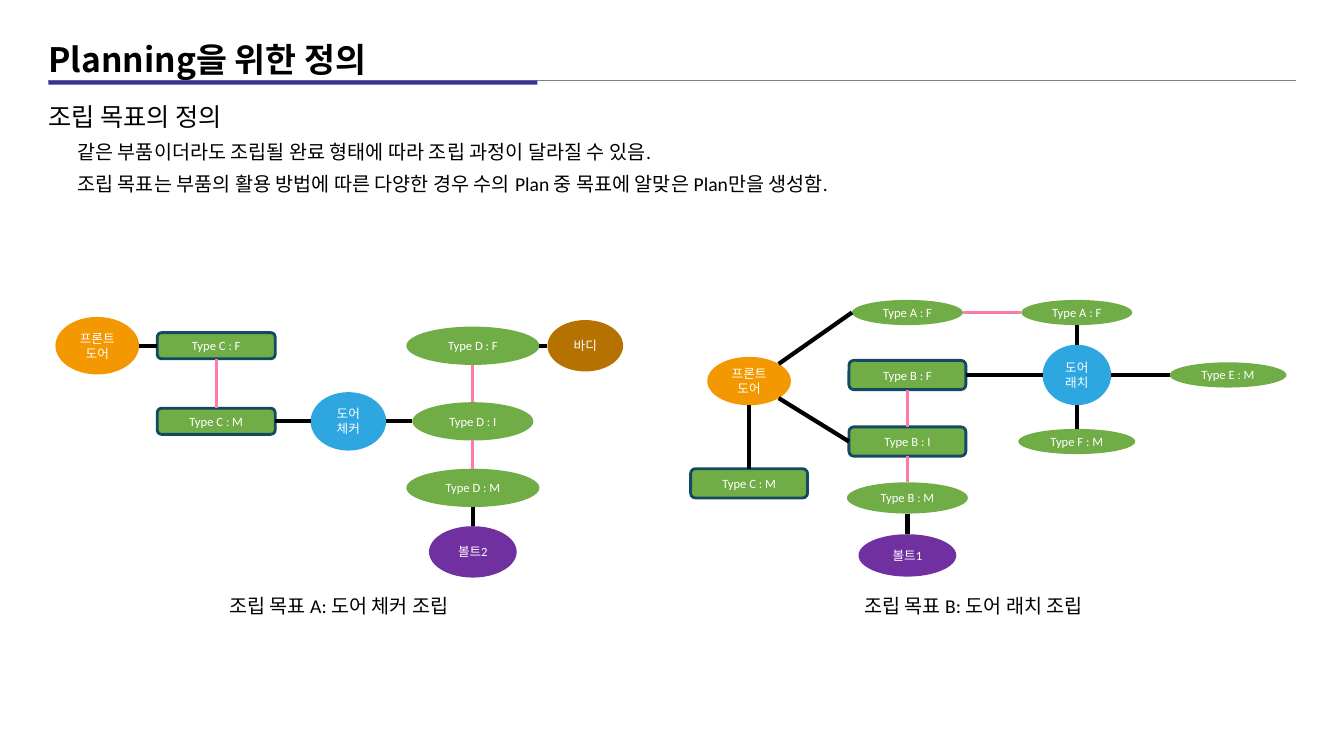
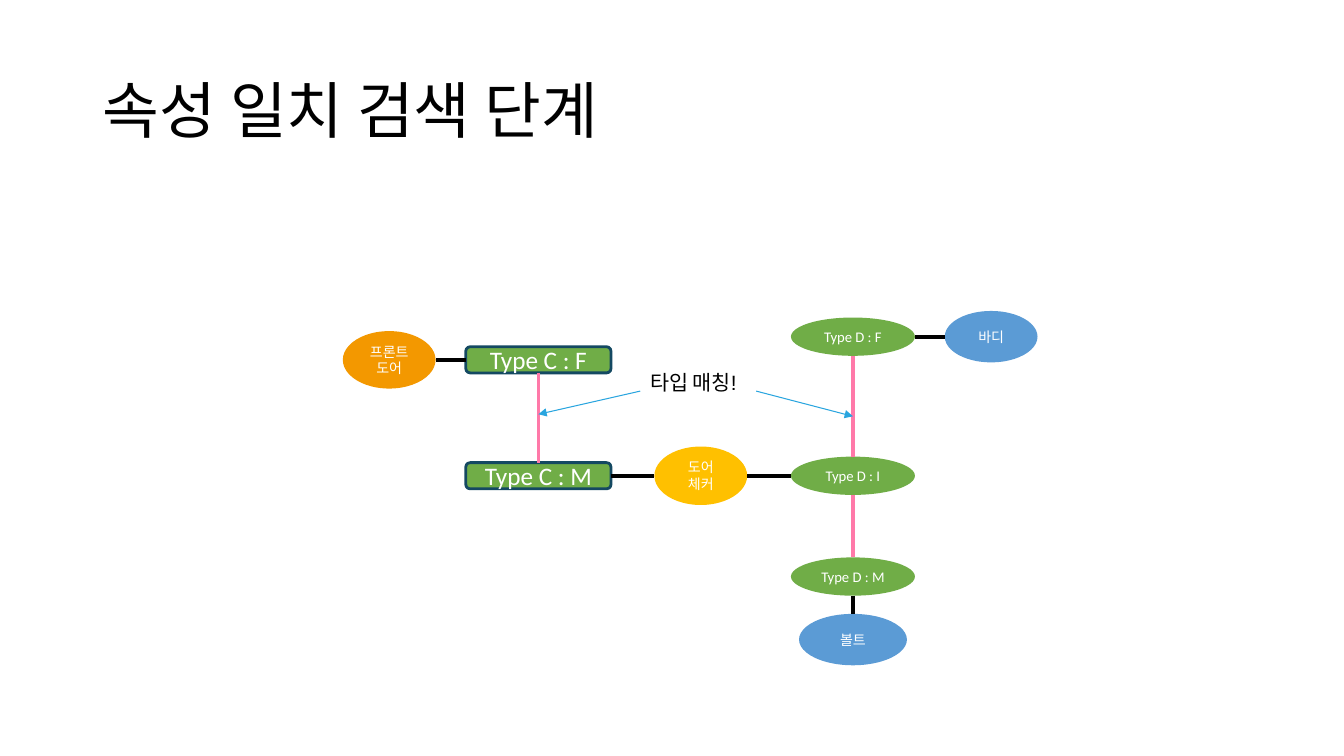
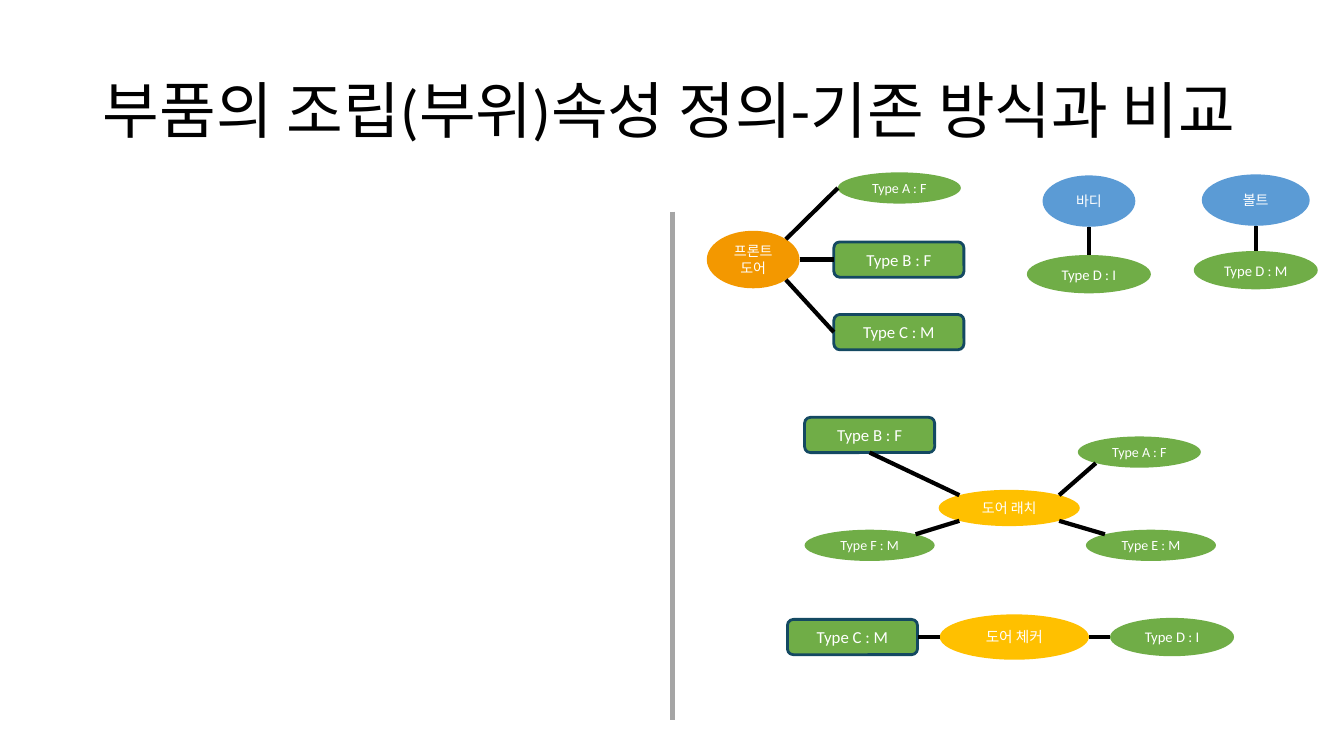
from dataclasses import dataclass
from math import sqrt

from lxml.etree import SubElement
from pptx import Presentation
from pptx.dml.color import RGBColor
from pptx.enum.shapes import MSO_CONNECTOR, MSO_SHAPE
from pptx.enum.text import MSO_ANCHOR, MSO_AUTO_SIZE, PP_ALIGN
from pptx.oxml.ns import qn
from pptx.util import Inches, Pt


@dataclass(frozen=True)
class Theme:
    black: str = "000000"
    white: str = "FFFFFF"
    grey: str = "808080"
    light_grey: str = "A5A5A5"
    navy: str = "333399"
    orange: str = "F39800"
    blue: str = "2EA7E0"
    brown: str = "B67200"
    purple: str = "7030A0"
    yellow: str = "FFC000"
    sky: str = "5B9BD5"
    green: str = "70AD47"
    outline: str = "144962"
    pink: str = "FF79A9"
    arrow: str = "29A5DF"
    font: str = "Calibri"
    heading_font: str = "Noto Sans CJK KR"
    label_font: str = "Arial"
    title: float = 44
    section: float = 24
    heading: float = 18
    body: float = 14
    label: float = 14.8
    slot_large: float = 18
    slot: float = 12
    node_large: float = 10.5
    node: float = 10
    node_small: float = 9
    link: float = 3
    match: float = 2.25
    thin: float = 1
    arrow_width: float = 0.75


T = Theme()
rgb = RGBColor.from_string

prs = Presentation()
prs.slide_width, prs.slide_height = Inches(13.33), Inches(7.5)
COL, ROW = prs.slide_width / 133.3, prs.slide_height / 75

# Connection sites: index on an ellipse, index on a rectangle, direction from the centre
D = sqrt(0.5)
SITES = {
    "t": (0, 0, 0, -1), "l": (2, 1, -1, 0), "b": (4, 2, 0, 1), "r": (6, 3, 1, 0),
    "tl": (1, 0, -D, -D), "bl": (3, 0, -D, D), "br": (5, 0, D, D), "tr": (7, 0, D, -D),
}


def site_point(shape, site):
    """Slide position, in grid units, of a connection site."""
    dx, dy = SITES[site][2:]
    return ((shape.left + shape.width * (1 + dx) / 2) / COL,
            (shape.top + shape.height * (1 + dy) / 2) / ROW)


def add_line(s, start, end, color, width):
    c = s.shapes.add_connector(
        MSO_CONNECTOR.STRAIGHT, round(start[0] * COL), round(start[1] * ROW),
        round(end[0] * COL), round(end[1] * ROW))
    c.line.color.rgb = rgb(color)
    c.line.width = Pt(width)
    SubElement(c.element.spPr, qn("a:effectLst"))
    return c


# Titles
WIDE = (9.2, 4, 115, 14.5)
slides = []
for text, (x, y, w, h), size, font, bold in [
    ("Planning을 위한 정의", (3.8, 3.4, 66.7, 5), T.section, T.heading_font, True),
    ("속성 일치 검색 단계", WIDE, T.title, T.font, False),
    ("부품의 조립(부위)속성 정의-기존 방식과 비교", WIDE, T.title, T.font, False),
]:
    s = prs.slides.add_slide(prs.slide_layouts[5])
    slides.append(s)
    sp = s.shapes.title
    sp.left, sp.top = round(x * COL), round(y * ROW)
    sp.width, sp.height = round(w * COL), round(h * ROW)
    tf = sp.text_frame
    tf.text = text
    tf.auto_size = MSO_AUTO_SIZE.NONE
    tf.vertical_anchor = MSO_ANCHOR.MIDDLE
    p = tf.paragraphs[0]
    p.alignment = PP_ALIGN.LEFT
    p.line_spacing = 1.0 if bold else 0.9
    p.font.name, p.font.size, p.font.bold = font, Pt(size), bold
    p.font.color.rgb = rgb(T.black)
goal, search, compare = slides

# Rules
add_line(goal, (4.8, 8), (128.5, 8), T.grey, T.thin)
bar = goal.shapes.add_shape(MSO_SHAPE.RECTANGLE, round(4.8 * COL), round(8 * ROW),
                            round(48.5 * COL), round(0.4 * ROW))
bar.shadow.inherit = False
bar.fill.solid()
bar.fill.fore_color.rgb = rgb(T.navy)
bar.line.fill.background()
add_line(compare, (66.7, 21), (66.7, 71.4), T.light_grey, T.link)

# Text boxes: paragraphs are text, font, size, line spacing, space before, indent
L, C = PP_ALIGN.LEFT, PP_ALIGN.CENTER
for s, (x, y, w, h), align, paragraphs in [
    (goal, (3.8, 7.8, 124.6, 12.3), L, [
        ("조립 목표의 정의", T.heading_font, T.heading, 1.6, 0, 0),
        ("같은 부품이더라도 조립될 완료 형태에 따라 조립 과정이 달라질 수 있음.",
         T.font, T.body, 1, 6, 2.9),
        ("조립 목표는 부품의 활용 방법에 따른 다양한 경우 수의 Plan 중 목표에 알맞은 Plan만을 생성함.",
         T.font, T.body, 1, 6, 2.9)]),
    (goal, (15.2, 58.4, 36.8, 3.4), C,
     [("조립 목표 A: 도어 체커 조립", T.font, T.body, 1, 0, 0)]),
    (goal, (76.6, 58.4, 39.9, 3.4), C,
     [("조립 목표 B: 도어 래치 조립", T.font, T.body, 1, 0, 0)]),
    (search, (63.5, 36.5, 11.5, 4.6), L,
     [("타입 매칭!", T.label_font, T.label, 0.9, 0, 0)]),
]:
    box = s.shapes.add_textbox(round(x * COL), round(y * ROW), round(w * COL), round(h * ROW))
    tf = box.text_frame
    tf.word_wrap = True
    tf.text = "\n".join(row[0] for row in paragraphs)
    for p, (_, font, size, spacing, before, indent) in zip(tf.paragraphs, paragraphs):
        p.alignment, p.line_spacing = align, spacing
        if before:
            p.space_before = Pt(before)
        if indent:
            p._p.get_or_add_pPr().set("marL", str(round(indent * COL)))
        p.font.name, p.font.size = font, Pt(size)
        p.font.color.rgb = rgb(T.black)

# Diagrams: groups of like nodes (fill, outlined, width, height, type size, nodes), then links
A, B = T.green, True
diagrams = [
    (goal, [
        (T.orange, False, 8.3, 5.7, T.node_small, [("door", "프론트 도어", 9.65, 34.3)]),
        (A, B, 11.7, 2.6, T.node_small, [("cF", "Type C : F", 21.45, 34.3),
                                         ("cM", "Type C : M", 21.45, 41.8)]),
        (T.blue, False, 7.5, 5.8, T.node_small, [("checker", "도어\n체커", 34.55, 41.8)]),
        (A, False, 13.2, 3.8, T.node_small, [("dF", "Type D : F", 46.9, 34.3),
                                             ("dM", "Type D : M", 46.9, 48.4)]),
        (A, False, 12, 3.8, T.node_small, [("dI", "Type D : I", 46.9, 41.8)]),
        (T.brown, False, 7.5, 5.1, T.node_small, [("body", "바디", 58.05, 34.3)]),
        (T.purple, False, 8.7, 5.1, T.node_small, [("bolt", "볼트2", 46.9, 54.75)]),
    ], "door.r-cF.l cM.r-checker.l checker.r-dI.l dF.r-body.l dM.b-bolt.t",
       "cF.b-cM.t dF.b-dI.t dI.b-dM.t"),
    (goal, [
        (T.orange, False, 8.3, 4.8, T.node_small, [("door", "프론트 도어", 74.3, 37.8)]),
        (A, B, 11.6, 2.9, T.node_small, [("cM", "Type C : M", 74.3, 47.95),
                                         ("bF", "Type B : F", 90, 37.2),
                                         ("bI", "Type B : I", 90, 43.8)]),
        (A, False, 12, 3.1, T.node_small, [("bM", "Type B : M", 90, 49.4)]),
        (T.purple, False, 9.7, 4.2, T.node_small, [("bolt", "볼트1", 90, 55.1)]),
        (A, False, 11, 2.5, T.node_small, [("aF", "Type A : F", 90, 31),
                                           ("aF2", "Type A : F", 106.8, 31)]),
        (T.blue, False, 6.8, 6, T.node_small, [("latch", "도어 래치", 106.8, 37.2)]),
        (A, False, 11.6, 2.5, T.node_small, [("eM", "Type E : M", 121.8, 37.2),
                                             ("fM", "Type F : M", 106.8, 43.8)]),
    ], "door.tr-aF.l door.br-bI.l door.b-cM.t bF.r-latch.l latch.t-aF2.b "
       "latch.r-eM.l latch.b-fM.t bM.b-bolt.t",
       "aF.r-aF2.l bF.b-bI.t bI.b-bM.t"),
    (search, [
        (T.orange, False, 9.2, 5.7, T.node, [("door", "프론트 도어", 38.6, 35.7)]),
        (A, B, 14.4, 2.6, T.slot_large, [("cF", "Type C : F", 53.4, 35.7),
                                         ("cM", "Type C : M", 53.4, 47.2)]),
        (T.yellow, False, 9.2, 5.8, T.node, [("checker", "도어\n체커", 69.5, 47.2)]),
        (A, False, 12.3, 3.8, T.node_large, [("dF", "Type D : F", 84.6, 33.4),
                                             ("dI", "Type D : I", 84.6, 47.2),
                                             ("dM", "Type D : M", 84.6, 57.2)]),
        (T.sky, False, 9.2, 5.1, T.node, [("body", "바디", 98.3, 33.4)]),
        (T.sky, False, 10.7, 5.1, T.node, [("bolt", "볼트", 84.6, 63.45)]),
    ], "door.r-cF.l cM.r-checker.l checker.r-dI.l dF.r-body.l dM.b-bolt.t",
       "cF.b-cM.t dF.b-dI.t dI.b-dM.t"),
    (compare, [
        (T.orange, False, 9.2, 5.7, T.node, [("door", "프론트 도어", 74.7, 25.75)]),
        (T.yellow, False, 14, 3.6, T.node, [("latch", "도어 래치", 100.1, 50.4)]),
        (T.yellow, False, 14.8, 4.5, T.node_large, [("checker", "도어 체커", 100.6, 63.2)]),
        (T.sky, False, 9.2, 5.1, T.node, [("body", "바디", 108, 19.95)]),
        (T.sky, False, 10.7, 5.1, T.node, [("bolt", "볼트", 124.55, 19.85)]),
        (A, B, 12.9, 3.5, T.slot, [("doorB", "Type B : F", 89.15, 25.75),
                                   ("doorC", "Type C : M", 89.15, 32.95),
                                   ("latchB", "Type B : F", 86.25, 43.15),
                                   ("checkerC", "Type C : M", 84.55, 63.2)]),
        (A, False, 12.2, 3.1, T.node, [("doorA", "Type A : F", 89.2, 18.65),
                                       ("latchA", "Type A : F", 113, 44.85)]),
        (A, False, 12.9, 3.1, T.node, [("latchE", "Type E : M", 114.15, 54.1),
                                       ("latchF", "Type F : M", 86.25, 54.1)]),
        (A, False, 12.3, 3.8, T.node_large, [("checkerD", "Type D : I", 116.25, 63.2),
                                             ("bodyD", "Type D : I", 108, 27.2),
                                             ("boltD", "Type D : M", 124.55, 26.8)]),
    ], "door.tr-doorA.l door.r-doorB.l door.br-doorC.l latchB.b-latch.tl "
       "latch.tr-latchA.bl latch.br-latchE.tl latch.bl-latchF.tr "
       "checkerC.r-checker.l checker.r-checkerD.l body.b-bodyD.t bolt.b-boltD.t", ""),
]

for s, groups, joints, matches in diagrams:
    nodes, outlines = {}, {}
    for fill, outlined, w, h, size, members in groups:
        for key, text, cx, cy in members:
            kind = MSO_SHAPE.ROUNDED_RECTANGLE if outlined else MSO_SHAPE.OVAL
            sp = s.shapes.add_shape(kind, round((cx - w / 2) * COL), round((cy - h / 2) * ROW),
                                    round(w * COL), round(h * ROW))
            sp.shadow.inherit = False
            sp.fill.solid()
            sp.fill.fore_color.rgb = rgb(fill)
            if outlined:
                sp.line.color.rgb = rgb(T.outline)
                sp.line.width = Pt(2)
            else:
                sp.line.fill.background()
            tf = sp.text_frame
            tf.word_wrap = True
            tf.margin_left = tf.margin_right = Inches(0.05)
            tf.vertical_anchor = MSO_ANCHOR.MIDDLE
            tf.text = text
            for p in tf.paragraphs:
                p.alignment = PP_ALIGN.CENTER
                p.font.name, p.font.size = T.font, Pt(size)
                p.font.color.rgb = rgb(T.white)
            nodes[key], outlines[key] = sp, outlined

    for links, color, width in [(matches, T.pink, T.match), (joints, T.black, T.link)]:
        for link in links.split():
            ends = [end.split(".") for end in link.split("-")]
            points = [site_point(nodes[key], site) for key, site in ends]
            c = add_line(s, *points, color, width)
            glue = c.element.find(".//" + qn("p:cNvCxnSpPr"))
            for tag, (key, site) in zip(("a:stCxn", "a:endCxn"), ends):
                SubElement(glue, qn(tag), id=str(nodes[key].shape_id),
                           idx=str(SITES[site][outlines[key]]))

# Arrows from the label to the matched pairs
for start, end in [((75, 38.8), (84.6, 41.3)), ((63.5, 38.8), (53.4, 41.1))]:
    c = add_line(search, start, end, T.arrow, T.arrow_width)
    SubElement(c.line._get_or_add_ln(), qn("a:tailEnd"), type="triangle")

prs.save("out.pptx")
